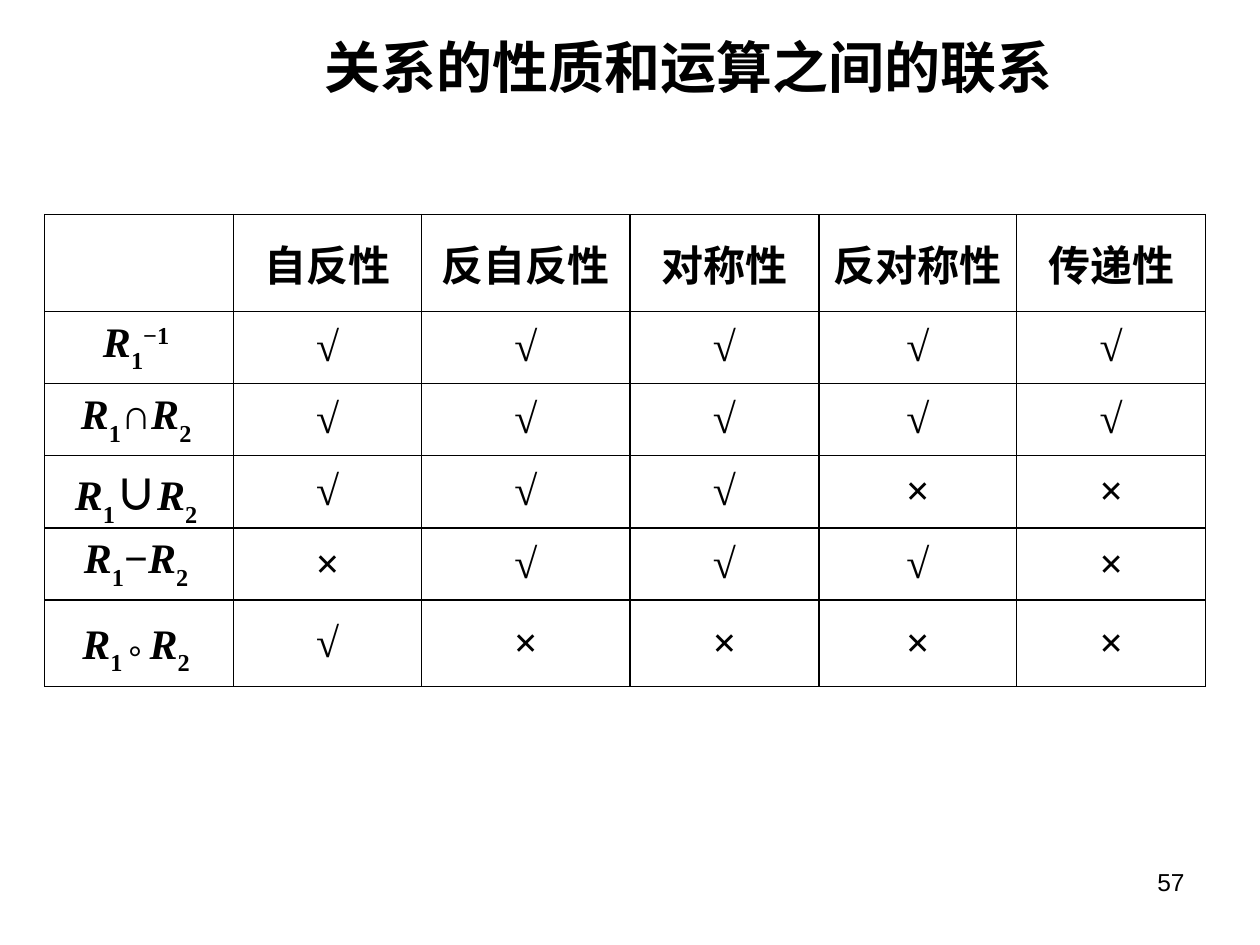
from dataclasses import dataclass
from typing import Optional

from lxml import etree
from pptx import Presentation
from pptx.dml.color import RGBColor
from pptx.enum import text
from pptx.oxml import ns
from pptx.util import Pt


@dataclass(frozen=True)
class Theme:
    ink: RGBColor = RGBColor(0, 0, 0)
    sans: str = "Arial"
    serif: str = "Times New Roman"
    chinese: str = "Noto Sans CJK SC"
    title: float = 32
    body: float = 24
    operator: float = 32
    number: float = 14
    outer_line: float = 0.75
    inner_line: float = 1


THEME = Theme()


@dataclass(frozen=True)
class Span:
    words: str
    face: str = THEME.serif
    size: float = THEME.body
    bold: bool = True
    italic: bool = False
    baseline: int = 0


@dataclass(frozen=True)
class Label:
    left: float
    top: float
    width: float
    height: float
    span: Span
    align: Optional[text.PP_ALIGN] = None
    wrap: bool = True


@dataclass(frozen=True)
class Row:
    height: float
    cells: list


def low(words: str) -> Span:
    return Span(words, baseline=-30)


def combined(operator: Span, first_index: str = "1") -> list:
    """Spans for R1 and R2 joined by an operator."""
    relation = Span("R", italic=True)
    return [relation, low(first_index), operator, relation, low("2 ")]


def marks(pattern: str) -> list:
    return [[Span(mark)] for mark in pattern]


HEADINGS = ["自反性", "反自反性", "对称性", "反对称性", "传递性"]
COLUMN_WIDTHS = [108, 107.5, 119, 108, 113, 108]
ROWS = [
    Row(55.5, [[]] + [[Span(name, THEME.sans)] for name in HEADINGS]),
    Row(36, [[Span("R", italic=True), low("1"), Span("−1 ", baseline=30)],
             *marks("√√√√√")]),
    Row(36, [combined(Span("∩")), *marks("√√√√√")]),
    Row(36, [combined(Span("∪", THEME.chinese)), *marks("√√√××")]),
    Row(36, [combined(Span("−")), *marks("×√√√×")]),
    Row(45.5, [combined(Span("° ", size=THEME.operator, baseline=-16), "1 "),
               *marks("√××××")]),
]
LABELS = [
    Label(516, 492, 168, 37.5, Span("57", THEME.sans, THEME.number, False),
          text.PP_ALIGN.RIGHT),
    Label(178.5, 15, 432, 45.5,
          Span("关系的性质和运算之间的联系", THEME.sans, THEME.title), wrap=False),
]


def add_span(para, item: Span) -> None:
    span = para.add_run()
    span.text = item.words
    look = {"name": item.face, "size": Pt(item.size),
            "bold": item.bold, "italic": item.italic}
    for name, value in look.items():
        setattr(span.font, name, value)
    span.font.color.rgb = THEME.ink
    properties = span._r.get_or_add_rPr()
    if item.baseline:
        properties.set("baseline", str(item.baseline * 1000))
    etree.SubElement(properties, ns.qn("a:ea")).set("typeface", THEME.chinese)


def add_label(page, label: Label) -> None:
    box = page.shapes.add_textbox(Pt(label.left), Pt(label.top),
                                  Pt(label.width), Pt(label.height))
    box.text_frame.word_wrap = label.wrap
    para = box.text_frame.paragraphs[0]
    para.alignment = label.align
    add_span(para, label.span)


def draw_borders(cell, outer_sides: dict) -> None:
    """Rule all four sides, thinner where the side is on the table's edge."""
    properties = cell._tc.get_or_add_tcPr()
    for index, (side, is_outer) in enumerate(outer_sides.items()):
        width = THEME.outer_line if is_outer else THEME.inner_line
        line = etree.Element(ns.qn(f"a:ln{side}"), w=str(Pt(width)))
        fill = etree.SubElement(line, ns.qn("a:solidFill"))
        etree.SubElement(fill, ns.qn("a:srgbClr"), val=str(THEME.ink))
        properties.insert(index, line)


def add_relation_table(page, left: float, top: float) -> None:
    frame = page.shapes.add_table(
        len(ROWS), len(COLUMN_WIDTHS), Pt(left), Pt(top),
        Pt(sum(COLUMN_WIDTHS)), Pt(sum(row.height for row in ROWS)))
    table = frame.table
    table.first_row = table.horz_banding = False
    for column, width in zip(table.columns, COLUMN_WIDTHS):
        column.width = Pt(width)
    last_row, last_column = len(ROWS) - 1, len(COLUMN_WIDTHS) - 1
    for r, row in enumerate(ROWS):
        table.rows[r].height = Pt(row.height)
        for c, spans in enumerate(row.cells):
            cell = table.cell(r, c)
            cell.fill.background()
            cell.vertical_anchor = text.MSO_ANCHOR.MIDDLE
            draw_borders(cell, {"L": c == 0, "R": c == last_column,
                                "T": r == 0, "B": r == last_row})
            para = cell.text_frame.paragraphs[0]
            para.alignment = text.PP_ALIGN.CENTER
            for item in spans:
                add_span(para, item)


def main() -> None:
    deck = Presentation()
    deck.slide_width, deck.slide_height = Pt(720), Pt(540)
    page = deck.slides.add_slide(deck.slide_layouts[6])
    number, title = LABELS
    add_label(page, number)
    add_relation_table(page, 25.5, 122.5)
    add_label(page, title)
    deck.save("out.pptx")


if __name__ == "__main__":
    main()
